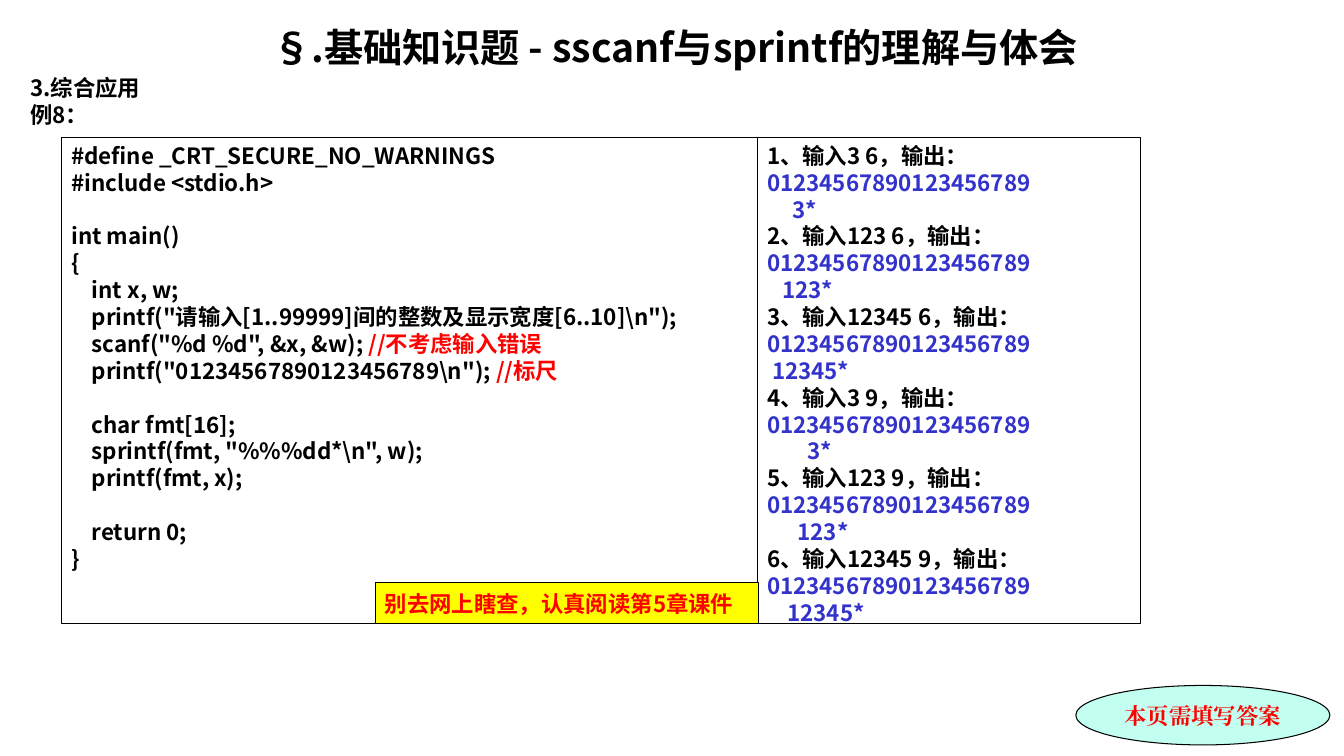
import pptx
import pptx.util
import pptx.dml.color
import pptx.enum.shapes
import pptx.enum.text
import pptx.oxml.ns
from lxml import etree

Inches = pptx.util.Inches
RGBColor = pptx.dml.color.RGBColor
SHAPES = pptx.enum.shapes.MSO_SHAPE
ANCHOR = pptx.enum.text.MSO_ANCHOR
ALIGN = pptx.enum.text.PP_ALIGN

BLACK = RGBColor(0x00, 0x00, 0x00)
RED = RGBColor(0xFF, 0x00, 0x00)
BLUE = RGBColor(0x33, 0x33, 0xCC)
YELLOW = RGBColor(0xFF, 0xFF, 0x00)
MINT = RGBColor(0xC2, 0xFF, 0xF0)
SANS = "Noto Sans CJK SC"
SERIF = "Times New Roman"

RULER = "01234567890123456789"
TRIALS = [(value, width) for width in (6, 9) for value in (3, 123, 12345)]

CODE = r'''#define _CRT_SECURE_NO_WARNINGS
#include <stdio.h>

int main()
{
    int x, w;
    printf("请输入[1..99999]间的整数及显示宽度[6..10]\n");
    scanf("%d %d", &x, &w); //不考虑输入错误
    printf("01234567890123456789\n"); //标尺

    char fmt[16];
    sprintf(fmt, "%%%dd*\n", w);
    printf(fmt, x);

    return 0;
}'''


def style_font(font, color, size=16, name=SANS):
    font.size = pptx.util.Pt(size)
    font.bold = True
    font.name = name
    font.color.rgb = color


def add_span(para, text, color, size=16, name=SANS):
    span = para.add_run()
    span.text = text
    style_font(span.font, color, size, name)
    east_asian = etree.SubElement(span.font._element, pptx.oxml.ns.qn("a:ea"))
    east_asian.set("typeface", name)


def fill_lines(frame, lines, align=ALIGN.LEFT, size=16, name=SANS):
    for index, spans in enumerate(lines):
        para = frame.paragraphs[0] if index == 0 else frame.add_paragraph()
        para.alignment = align
        para.space_before = pptx.util.Pt(0)
        if not spans:
            style_font(para.font, BLACK, size, name)
        for text, color in spans:
            add_span(para, text, color, size, name)


def place_placeholder(holder, left, top, width, height, lines, align, size):
    holder.left, holder.top = Inches(left), Inches(top)
    holder.width, holder.height = Inches(width), Inches(height)
    frame = holder.text_frame
    frame.word_wrap = True
    frame.auto_size = pptx.enum.text.MSO_AUTO_SIZE.NONE
    frame.vertical_anchor = ANCHOR.TOP
    fill_lines(frame, lines, align, size)
    for para in frame.paragraphs:
        properties = para._p.get_or_add_pPr()
        properties.set("marL", "0")
        properties.set("indent", "0")
        etree.SubElement(properties, pptx.oxml.ns.qn("a:buNone"))


def add_box(page, kind, left, top, width, height, lines, fill=None,
            anchor=ANCHOR.MIDDLE, align=ALIGN.LEFT, name=SANS):
    box = page.shapes.add_shape(kind, Inches(left), Inches(top),
                                Inches(width), Inches(height))
    box.shadow.inherit = False
    if fill is None:
        box.fill.background()
    else:
        box.fill.solid()
        box.fill.fore_color.rgb = fill
    box.line.color.rgb = BLACK
    box.line.width = pptx.util.Pt(0.75)
    box.text_frame.word_wrap = True
    box.text_frame.vertical_anchor = anchor
    fill_lines(box.text_frame, lines, align, name=name)


def code_lines():
    for line in CODE.split("\n"):
        statement, mark, comment = line.partition("//")
        spans = [(statement, BLACK), (mark + comment, RED)]
        yield [span for span in spans if span[0]]


def trial_lines():
    for number, (value, width) in enumerate(TRIALS, 1):
        yield [(f"{number}、输入{value} {width}，输出：", BLACK)]
        yield [(RULER, BLUE)]
        yield [(f"{value:>{width}}*", BLUE)]


def main():
    deck = pptx.Presentation()
    deck.slide_width, deck.slide_height = Inches(13.33), Inches(7.5)
    page = deck.slides.add_slide(deck.slide_layouts[1])
    place_placeholder(page.shapes.title, 0.2, 0.18, 12.99, 0.51,
                      [[("§.基础知识题 - sscanf与sprintf的理解与体会", BLACK)]],
                      ALIGN.CENTER, 28)
    place_placeholder(page.placeholders[1], 0.2, 0.69, 12.99, 0.65,
                      [[("3.综合应用", BLACK)], [("例8：", BLACK)]],
                      ALIGN.LEFT, 16)
    add_box(page, SHAPES.OVAL, 10.67, 6.8, 2.52, 0.59,
            [[("本页需填写答案", RED)]], MINT, align=ALIGN.CENTER, name=SERIF)
    add_box(page, SHAPES.RECTANGLE, 0.61, 1.36, 6.9, 4.83,
            code_lines(), anchor=ANCHOR.TOP)
    add_box(page, SHAPES.RECTANGLE, 7.51, 1.36, 3.8, 4.83,
            trial_lines(), anchor=ANCHOR.TOP)
    add_box(page, SHAPES.RECTANGLE, 3.72, 5.78, 3.8, 0.41,
            [[("别去网上瞎查，认真阅读第5章课件", RED)]], YELLOW)
    deck.save("out.pptx")


if __name__ == "__main__":
    main()
